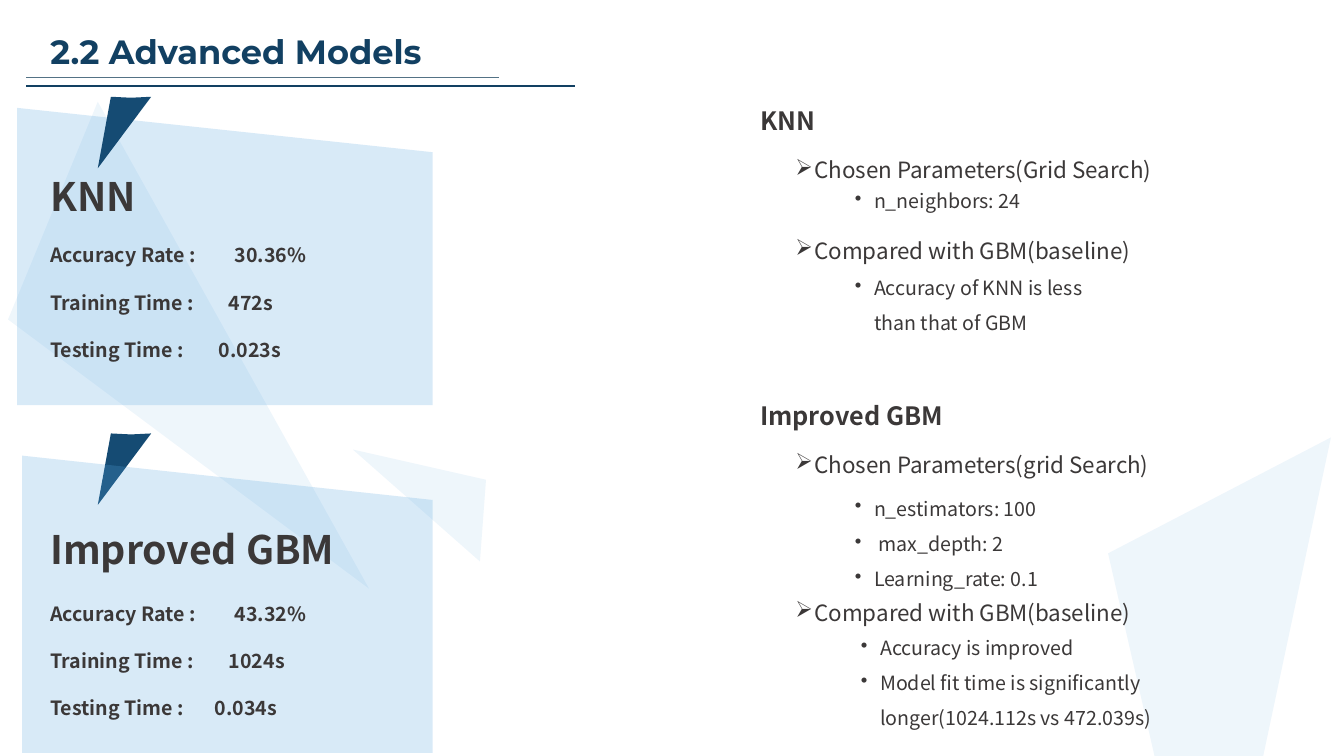
from dataclasses import dataclass

from lxml.etree import SubElement
from pptx import Presentation
from pptx.dml.color import RGBColor
from pptx.enum.shapes import MSO_CONNECTOR
from pptx.enum.text import MSO_ANCHOR, MSO_AUTO_SIZE, PP_ALIGN
from pptx.oxml.ns import qn
from pptx.shapes.base import BaseShape
from pptx.slide import Slide
from pptx.text.text import TextFrame
from pptx.util import Inches, Pt

NAVY = RGBColor(0x12, 0x40, 0x62)
WEDGE_BLUE = RGBColor(0x15, 0x4B, 0x73)
SKY = RGBColor(0x59, 0xA7, 0xE0)
RULE_GREY = RGBColor(0x53, 0x72, 0x85)
TEXT_GREY = RGBColor(0x3B, 0x38, 0x38)

TITLE_FONT = "Montserrat"
BODY_FONT = "Noto Sans CJK SC"
BULLET_INDENT = 0.19

Point = tuple[float, float]
Bounds = tuple[float, float, float, float]


@dataclass(frozen=True)
class Polygon:
    points: list[Point]
    color: RGBColor
    opacity: int = 100


@dataclass(frozen=True)
class Rule:
    right: float
    top: float
    color: RGBColor
    width: float


@dataclass(frozen=True)
class Metric:
    label: str
    value: str
    tab: float


@dataclass(frozen=True)
class ModelCard:
    name: str
    bounds: Bounds
    anchor: MSO_ANCHOR
    gap: int
    metrics: list[Metric]


@dataclass(frozen=True)
class TextItem:
    bounds: Bounds
    lines: list[str]
    size: int
    bullet: str = ""


def wedge(top: float) -> Polygon:
    points = [(0.97, top + 0.71), (1.1, top), (1.3, top + 0.01), (1.5, top)]
    return Polygon(points, WEDGE_BLUE)


def panel(left: float, top: float) -> Polygon:
    points = [(left, top), (4.29, top + 0.44), (4.29, top + 2.95), (left, top + 2.95)]
    return Polygon(points, SKY, 23)


POLYGONS = [
    Polygon([(0.97, 1.01), (0.08, 3.17), (3.66, 5.84)], SKY, 10),
    Polygon([(13.2, 4.34), (10.99, 5.49), (12.01, 9.94)], SKY, 10),
    Polygon([(4.76, 5.57), (4.82, 4.76), (3.5, 4.46)], SKY, 10),
    panel(0.17, 1.07),
    wedge(0.96),
    wedge(4.3),
    panel(0.22, 4.52),
]

RULES = [Rule(4.95, 0.77, RULE_GREY, 1), Rule(5.7, 0.85, NAVY, 1.5)]

CARDS = [
    ModelCard("KNN", (0.4, 1.66, 3.17, 1.99), MSO_ANCHOR.TOP, 17, [
        Metric("Accuracy Rate :", "30.36%", 1.83),
        Metric("Training Time :", "472s", 1.77),
        Metric("Testing Time :", "0.023s", 1.67),
    ]),
    ModelCard("Improved GBM", (0.4, 5.15, 3.32, 2.05), MSO_ANCHOR.MIDDLE, 21, [
        Metric("Accuracy Rate :", "43.32%", 1.83),
        Metric("Training Time :", "1024s", 1.77),
        Metric("Testing Time :", "0.034s", 1.63),
    ]),
]

HEADINGS = [
    TextItem((7.44, 0.99, 2.24, 0.4), ["KNN"], 18),
    TextItem((7.44, 3.92, 2.24, 0.4), ["Improved GBM"], 18),
]

FINDINGS = [
    TextItem((7.79, 1.37, 4.59, 0.46), ["Chosen Parameters(Grid Search)"], 16, "➢"),
    TextItem((8.38, 1.71, 2.49, 0.41), ["n_neighbors: 24"], 14, "•"),
    TextItem((7.79, 2.17, 4.59, 0.46), ["Compared with GBM(baseline)"], 16, "➢"),
    TextItem((8.38, 2.57, 2.49, 0.77), ["Accuracy of KNN is less than that of GBM"], 14, "•"),
    TextItem((7.79, 4.29, 4.59, 0.46), ["Chosen Parameters(grid Search)"], 16, "➢"),
    TextItem((8.38, 4.76, 2.49, 1.12),
             ["n_estimators: 100", " max_depth: 2", "Learning_rate: 0.1"], 14, "•"),
    TextItem((7.79, 5.76, 4.59, 0.46), ["Compared with GBM(baseline)"], 16, "➢"),
    TextItem((8.44, 6.14, 3.31, 1.12),
             ["Accuracy is improved",
              "Model fit time is significantly longer(1024.112s vs 472.039s)"], 14, "•"),
]


def write(frame: TextFrame, text: str, *, size: int, font: str = BODY_FONT,
          color: RGBColor = TEXT_GREY, bold: bool = False, before: int = 0,
          bullet: str = "", tab: float = 0) -> None:
    """Fill the first paragraph if it is empty, otherwise add one."""
    first = frame.paragraphs[0]
    para = frame.add_paragraph() if first.runs else first
    para.alignment = PP_ALIGN.LEFT
    para.space_before = Pt(before)
    span = para.add_run()
    span.text = text
    span.font.name = font
    span.font.size = Pt(size)
    span.font.bold = bold
    span.font.color.rgb = color
    properties = para._p.get_or_add_pPr()
    if bullet:
        para.line_spacing = 1.5
        properties.set("marL", str(Inches(BULLET_INDENT)))
        properties.set("indent", str(-Inches(BULLET_INDENT)))
        SubElement(properties, qn("a:buChar"), char=bullet)
    if tab:
        stops = SubElement(properties, qn("a:tabLst"))
        SubElement(stops, qn("a:tab"), pos=str(Inches(tab)), algn="l")


def place(shape: BaseShape, bounds: Bounds) -> None:
    shape.left, shape.top, shape.width, shape.height = map(Inches, bounds)


def add_box(slide: Slide, bounds: Bounds, anchor: MSO_ANCHOR = MSO_ANCHOR.TOP) -> TextFrame:
    frame = slide.shapes.add_textbox(*map(Inches, bounds)).text_frame
    frame.word_wrap = True
    frame.vertical_anchor = anchor
    return frame


def add_polygon(slide: Slide, polygon: Polygon) -> None:
    start, *others = [(Inches(x), Inches(y)) for x, y in polygon.points]
    builder = slide.shapes.build_freeform(*start)
    builder.add_line_segments(others, close=True)
    shape = builder.convert_to_shape()
    shape.shadow.inherit = False
    shape.line.fill.background()
    shape.fill.solid()
    shape.fill.fore_color.rgb = polygon.color
    if polygon.opacity < 100:
        color = shape._element.spPr.find(qn("a:solidFill"))[0]
        SubElement(color, qn("a:alpha"), val=str(polygon.opacity * 1000))


def add_rule(slide: Slide, rule: Rule) -> None:
    top = Inches(rule.top)
    line = slide.shapes.add_connector(
        MSO_CONNECTOR.STRAIGHT, Inches(0.26), top, Inches(rule.right), top)
    line.line.color.rgb = rule.color
    line.line.width = Pt(rule.width)
    SubElement(line._element.spPr, qn("a:effectLst"))


def add_title(slide: Slide) -> None:
    title = slide.shapes.title
    place(title, (0.4, 0.26, 4.11, 0.5))
    frame = title.text_frame
    frame.auto_size = MSO_AUTO_SIZE.NONE
    frame.word_wrap = False
    frame.vertical_anchor = MSO_ANCHOR.TOP
    write(frame, "2.2 Advanced Models", size=24, font=TITLE_FONT, color=NAVY, bold=True)


def add_card(slide: Slide, card: ModelCard) -> None:
    frame = add_box(slide, card.bounds, card.anchor)
    write(frame, card.name, size=28, bold=True)
    for index, metric in enumerate(card.metrics):
        write(frame, f"{metric.label}\t{metric.value}", size=14, bold=True,
              before=17 if index else card.gap, tab=metric.tab)


def main() -> None:
    deck = Presentation()
    deck.slide_width, deck.slide_height = Inches(13.33), Inches(7.5)
    slide = deck.slides.add_slide(deck.slide_layouts[5])
    add_title(slide)
    for rule in RULES:
        add_rule(slide, rule)
    for polygon in POLYGONS:
        add_polygon(slide, polygon)
    for card in CARDS:
        add_card(slide, card)
    for heading in HEADINGS:
        frame = add_box(slide, heading.bounds, MSO_ANCHOR.MIDDLE)
        write(frame, heading.lines[0], size=heading.size, bold=True)
    for finding in FINDINGS:
        frame = add_box(slide, finding.bounds)
        for line in finding.lines:
            write(frame, line, size=finding.size, bullet=finding.bullet)
    deck.save("out.pptx")


if __name__ == "__main__":
    main()
